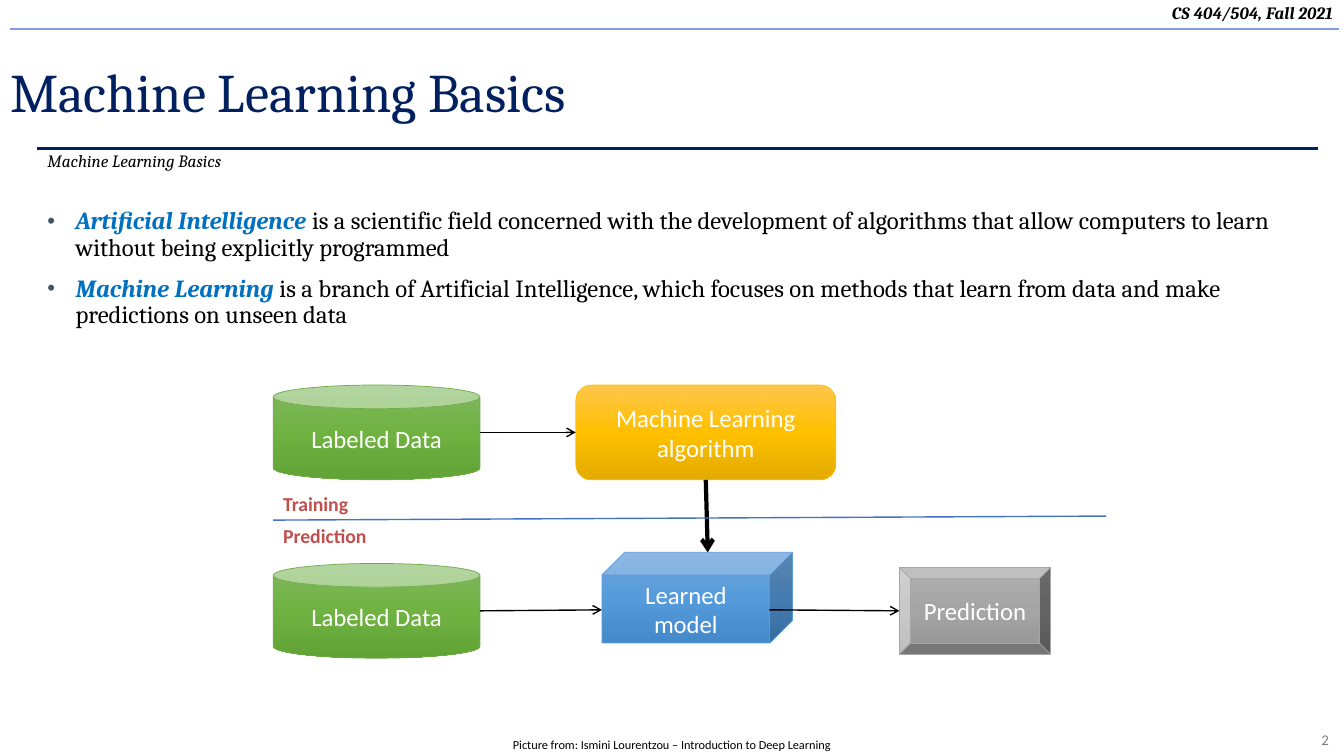
from copy import deepcopy
from dataclasses import dataclass

from lxml.etree import SubElement
from pptx import Presentation
from pptx.dml.color import RGBColor
from pptx.enum.shapes import MSO_CONNECTOR, MSO_SHAPE
from pptx.enum.text import MSO_ANCHOR, MSO_AUTO_SIZE, PP_ALIGN
from pptx.oxml.ns import qn
from pptx.util import Inches, Pt


@dataclass(frozen=True)
class Theme:
    heading: str = "Cambria"
    plain: str = "Calibri"
    navy: str = "002060"
    rule: str = "849AE3"
    term: str = "0070C0"
    bullet: str = "44546A"
    divider: str = "4472C4"
    stage: str = "C0504D"
    grey: str = "808080"
    black: str = "000000"
    white: str = "FFFFFF"
    # Outline, then the top, middle and bottom of the gradient
    green: tuple = ("70AD47", "81B861", "6FB242", "62A336")
    gold: tuple = ("FFC000", "FFC64B", "FFC000", "E3AB00")
    blue: tuple = ("5B9BD5", "71A6DB", "559BDB", "448ACA")
    silver: tuple = ("A5A5A5", "AFAFAF", "A5A5A5", "939393")
    title_size: float = 38.8
    node_size: float = 17.7
    body_size: float = 17.6
    stage_size: float = 14.1
    small_size: float = 12.3
    number_size: float = 10.6
    credit_size: float = 8.8


THEME = Theme()


def style(font, color, **values):
    for name, value in values.items():
        setattr(font, name, value)
    font.color.rgb = RGBColor.from_string(color)


def place(part, box):
    for name, value in zip(("left", "top", "width", "height"), box):
        setattr(part, name, Inches(value))


def set_frame(frame, **values):
    settings = dict(word_wrap=True, auto_size=MSO_AUTO_SIZE.NONE,
                    vertical_anchor=MSO_ANCHOR.TOP) | values
    for name, value in settings.items():
        setattr(frame, name, value)


def write(paragraph, text, color, align=PP_ALIGN.LEFT, **values):
    paragraph.alignment = align
    run = paragraph.add_run()
    run.text = text
    style(run.font, color, **values)


def add_label(slide, box, text, color, align=PP_ALIGN.LEFT, wrap=True, **values):
    label = slide.shapes.add_textbox(*map(Inches, box))
    set_frame(label.text_frame, word_wrap=wrap)
    write(label.text_frame.paragraphs[0], text, color, align, **values)


def add_line(slide, start, end, color, width, arrow=False):
    line = slide.shapes.add_connector(
        MSO_CONNECTOR.STRAIGHT, *map(Inches, (*start, *end)))
    line.line.color.rgb = RGBColor.from_string(color)
    line.line.width = Pt(width)
    properties = line._element.spPr
    if arrow:
        SubElement(properties.find(qn("a:ln")), qn("a:tailEnd"), type="arrow")
    SubElement(properties, qn("a:effectLst"))


def add_node(slide, kind, box, text, palette):
    """Draw a diagram block with a vertical three-stop gradient."""
    node = slide.shapes.add_shape(kind, *map(Inches, box))
    node.shadow.inherit = False
    outline, *shades = palette
    node.fill.gradient()
    node.fill.gradient_angle = 270
    stops = node._element.spPr.find(qn("a:gradFill")).find(qn("a:gsLst"))
    stops.insert(1, deepcopy(stops[0]))
    for position, (stop, shade) in enumerate(zip(node.fill.gradient_stops, shades)):
        stop.position = position / 2
        stop.color.rgb = RGBColor.from_string(shade)
    node.line.color.rgb = RGBColor.from_string(outline)
    node.line.width = Pt(0.5)
    set_frame(node.text_frame, vertical_anchor=MSO_ANCHOR.MIDDLE)
    write(node.text_frame.paragraphs[0], text, THEME.white, PP_ALIGN.CENTER,
          name=THEME.plain, size=Pt(THEME.node_size))


def add_header(slide, box):
    left, top, width, _ = box
    add_label(slide, (left, top - 0.03, width, 0.31), "CS 404/504, Fall 2021",
              THEME.black, PP_ALIGN.RIGHT, name=THEME.heading,
              size=Pt(THEME.small_size), bold=True, italic=True)
    add_line(slide, (left + 0.1, top + 0.29), (left + width - 0.04, top + 0.29),
             THEME.rule, 1.5)
    add_line(slide, (left + 0.37, top + 1.47), (left + width - 0.25, top + 1.47),
             THEME.navy, 2)


def fill_title(title, box):
    place(title, box)
    set_frame(title.text_frame, vertical_anchor=MSO_ANCHOR.MIDDLE)
    heading = title.text_frame.paragraphs[0]
    heading.line_spacing = 0.9
    write(heading, "Machine Learning Basics", THEME.navy,
          name=THEME.heading, size=Pt(THEME.title_size))


def fill_subtitle(subtitle, box):
    place(subtitle, box)
    set_frame(subtitle.text_frame)
    topic = subtitle.text_frame.paragraphs[0]
    properties = topic._p.get_or_add_pPr()
    properties.set("marL", "0")
    properties.set("indent", "0")
    SubElement(properties, qn("a:buNone"))
    topic.line_spacing = 0.9
    topic.space_before = Pt(0)
    write(topic, "Machine Learning Basics", THEME.black, name=THEME.heading,
          size=Pt(THEME.small_size), italic=True)


def add_bullet(paragraph):
    properties = paragraph._p.get_or_add_pPr()
    properties.set("marL", str(Inches(0.28)))
    properties.set("indent", str(-Inches(0.28)))
    color = SubElement(properties, qn("a:buClr"))
    SubElement(color, qn("a:srgbClr"), val=THEME.bullet)
    SubElement(properties, qn("a:buSzPct"), val="90000")
    SubElement(properties, qn("a:buFont"), typeface="Arial")
    SubElement(properties, qn("a:buChar"), char="•")


def fill_definitions(body, box):
    definitions = {
        "Artificial Intelligence ":
            "is a scientific field concerned with the development of algorithms "
            "that allow computers to learn without being explicitly programmed",
        "Machine Learning ":
            "is a branch of Artificial Intelligence, which focuses on methods "
            "that learn from data and make predictions on unseen data",
    }
    place(body, box)
    frame = body.text_frame
    set_frame(frame)
    look = dict(name=THEME.heading, size=Pt(THEME.body_size))
    for index, (term, meaning) in enumerate(definitions.items()):
        definition = frame.add_paragraph() if index else frame.paragraphs[0]
        add_bullet(definition)
        definition.line_spacing = 0.9
        definition.space_before = Pt(10 if index else 0)
        write(definition, term, THEME.term, bold=True, italic=True, **look)
        write(definition, meaning, THEME.black, **look)


def add_diagram(slide, box):
    """Draw the training row above the prediction row, with a divider between."""
    left, top, width, _ = box

    def at(x, y):
        return left + x, top + y

    nodes = (
        (MSO_SHAPE.CAN, (0, 0), (2.05, 0.94), "Labeled Data", THEME.green),
        (MSO_SHAPE.CAN, (0, 1.77), (2.05, 0.94), "Labeled Data", THEME.green),
        (MSO_SHAPE.ROUNDED_RECTANGLE, (3, 0), (2.58, 0.94),
         "Machine Learning algorithm", THEME.gold),
        (MSO_SHAPE.CUBE, (3.26, 1.66), (1.89, 0.9), "Learned model", THEME.blue),
        (MSO_SHAPE.BEVEL, (6.21, 1.81), (1.5, 0.86), "Prediction", THEME.silver),
    )
    for kind, corner, size, text, palette in nodes:
        add_node(slide, kind, (*at(*corner), *size), text, palette)

    arrows = (
        ((2.05, 0.47), (3, 0.47), 1),
        ((2.05, 2.24), (3.26, 2.23), 1),
        ((4.92, 2.23), (6.21, 2.24), 1),
        ((4.29, 0.94), (4.31, 1.66), 3),
    )
    for start, end, weight in arrows:
        add_line(slide, at(*start), at(*end), THEME.black, weight, arrow=True)
    add_line(slide, at(0, 1.34), at(width, 1.3), THEME.divider, 1)

    for text, y, length in (("Training", 1.01, 0.86), ("Prediction", 1.33, 1.04)):
        add_label(slide, (*at(0, y), length, 0.34), text, THEME.stage, wrap=False,
                  name=THEME.plain, size=Pt(THEME.stage_size), bold=True)


def add_footer(slide, box):
    left, top, width, _ = box
    add_label(slide, (left + width / 4, top + 0.06, width / 2, 0.25),
              "Picture from: Ismini Lourentzou – Introduction to Deep Learning",
              THEME.black, PP_ALIGN.CENTER,
              name=THEME.plain, size=Pt(THEME.credit_size))
    add_label(slide, (left + width - 1.52, top, 1.47, 0.28), "2", THEME.grey,
              PP_ALIGN.RIGHT, name=THEME.plain, size=Pt(THEME.number_size))


def main():
    deck = Presentation()
    deck.slide_width, deck.slide_height = Inches(13.33), Inches(7.5)
    slide = deck.slides.add_slide(deck.slide_layouts.get_by_name("Two Content"))
    title, definitions, subtitle = slide.placeholders
    add_header(slide, (0, 0, 13.32, 1.47))
    fill_title(title, (0, 0.44, 13.33, 1.01))
    fill_definitions(definitions, (0.37, 2.02, 12.7, 5.18))
    fill_subtitle(subtitle, (0.37, 1.46, 8.21, 0.34))
    add_diagram(slide, (2.71, 3.82, 8.26, 2.71))
    add_footer(slide, (0, 7.2, 13.33, 0.3))
    deck.save("out.pptx")


if __name__ == "__main__":
    main()
